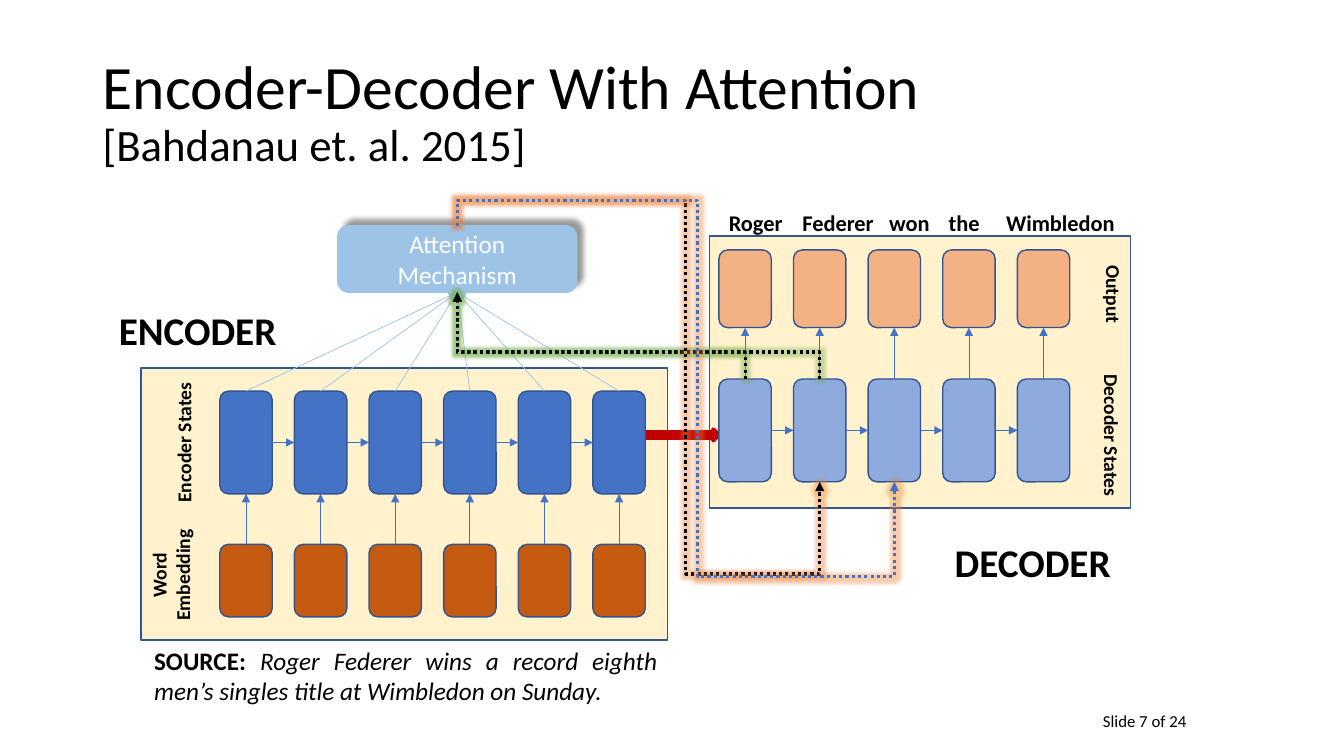
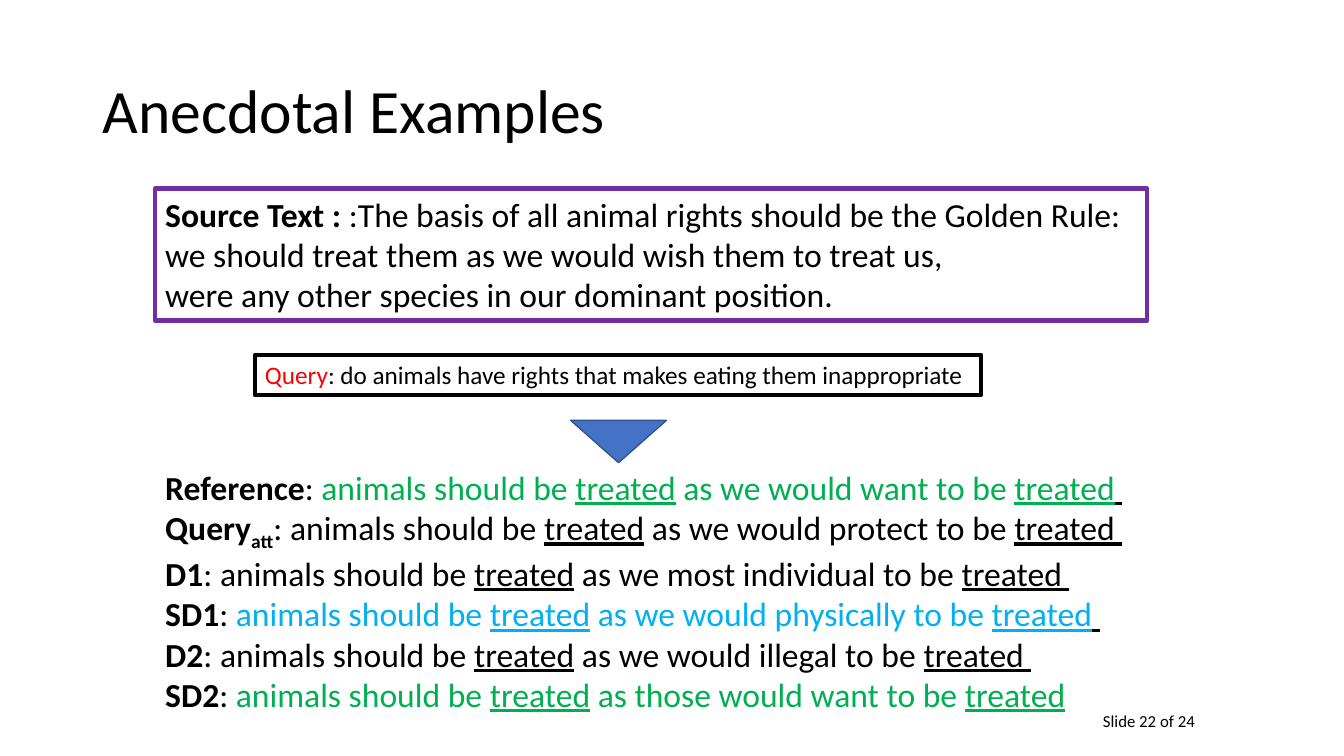
"""Build two slides: an attention encoder-decoder diagram and anecdotal examples."""
from lxml import etree
from pptx import Presentation
from pptx import util as u
from pptx.dml.color import RGBColor
from pptx.enum import dml, shapes, text
from pptx.oxml.ns import qn

rgb = RGBColor.from_string
LEFT, CENTER, JUSTIFY = text.PP_ALIGN.LEFT, text.PP_ALIGN.CENTER, text.PP_ALIGN.JUSTIFY
TOP, MIDDLE = text.MSO_ANCHOR.TOP, text.MSO_ANCHOR.MIDDLE
RECT, ROUNDED = shapes.MSO_SHAPE.RECTANGLE, shapes.MSO_SHAPE.ROUNDED_RECTANGLE
FONT = "Calibri"
BLACK, WHITE, BLUE, OUTLINE = "000000", "FFFFFF", "4472C4", "325491"
PANEL, SKY, RED = "FFF2CC", "9DC3E6", "C00000"
GREEN, CYAN, PURPLE = "00B050", "00B0F0", "7030A0"
ORANGE_GLOW, GREEN_GLOW = "ED7D31", "70AD47"
TOP_SIDE, LEFT_SIDE, BOTTOM_SIDE, RIGHT_SIDE = range(4)


def write(slide, area, content="", preset=None, fill=None, line=None, weight=1, size=18,
          color=BLACK, bold=False, align=LEFT, anchor=TOP, turn=0, spacing=None):
    place = [u.Inches(value) for value in area]
    if preset is None:
        item = slide.shapes.add_textbox(*place)
    else:
        item = slide.shapes.add_shape(preset, *place)
        if fill:
            item.fill.solid()
            item.fill.fore_color.rgb = rgb(fill)
        else:
            item.fill.background()
        item.line.color.rgb = rgb(line)
        item.line.width = u.Pt(weight)
        item.shadow.inherit = False
    item.rotation = turn
    frame = item.text_frame
    frame.word_wrap = True
    frame.vertical_anchor = anchor
    paragraphs = [content] if isinstance(content, str) else content
    for number, runs in enumerate(paragraphs):
        paragraph = frame.add_paragraph() if number else frame.paragraphs[0]
        paragraph.alignment = align
        if spacing:
            paragraph.line_spacing = spacing
        for words, changes in [(runs, {})] if isinstance(runs, str) else runs:
            run = paragraph.add_run()
            run.text = words
            font = run.font
            font.name = FONT
            font.size = u.Pt(changes.get("size", size))
            font.bold = changes.get("bold", bold)
            font.italic = changes.get("italic", False)
            font.underline = changes.get("underline", False)
            font.color.rgb = rgb(changes.get("color", color))
            if "baseline" in changes:
                font._element.set("baseline", str(changes["baseline"]))
    return item


def link(slide, start, start_side, end, end_side, color=BLUE, weight=0.5, bends=(), glow=None):
    kind = shapes.MSO_CONNECTOR.ELBOW if bends else shapes.MSO_CONNECTOR.STRAIGHT
    arrow = slide.shapes.add_connector(kind, 0, 0, 0, 0)
    arrow.begin_connect(start, start_side)
    arrow.end_connect(end, end_side)
    arrow.line.color.rgb = rgb(color)
    arrow.line.width = u.Pt(weight)
    properties = arrow._element.spPr
    if bends:
        arrow.line.dash_style = dml.MSO_LINE.ROUND_DOT
        middle_x = (arrow.begin_x + arrow.end_x) // 2
        middle_y = (arrow.begin_y + arrow.end_y) // 2
        across, down = arrow.begin_x - middle_x, arrow.begin_y - middle_y
        arrow.begin_x, arrow.begin_y = middle_x - down, middle_y + across
        arrow.end_x, arrow.end_y = middle_x + down, middle_y - across
        properties.find(qn("a:xfrm")).set("rot", str(270 * 60000))
        geometry = properties.find(qn("a:prstGeom"))
        geometry.set("prst", f"bentConnector{len(bends) + 2}")
        guides = geometry.find(qn("a:avLst"))
        for number, share in enumerate(bends, 1):
            etree.SubElement(guides, qn("a:gd"), name=f"adj{number}", fmla=f"val {share * 1000}")
    etree.SubElement(arrow.line._get_or_add_ln(), qn("a:tailEnd"), type="triangle")
    effects = etree.SubElement(properties, qn("a:effectLst"))
    if glow:
        halo = etree.SubElement(effects, qn("a:glow"), rad=str(u.Pt(5)))
        tint = etree.SubElement(halo, qn("a:srgbClr"), val=glow)
        etree.SubElement(tint, qn("a:alpha"), val="40000")


deck = Presentation()
deck.slide_width, deck.slide_height = u.Inches(13.33), u.Inches(7.5)
titles = {
    7: ["Encoder-Decoder With Attention", [("[Bahdanau et. al. 2015]", {"size": 32})]],
    22: ["Anecdotal Examples"],
}
pages = []
for number, title in titles.items():
    page = deck.slides.add_slide(deck.slide_layouts[6])
    write(page, (0.92, 0.4, 11.5, 1.45), title, size=44, anchor=MIDDLE, spacing=0.9)
    write(page, (10.84, 7, 2.49, 0.3), f"Slide {number} of 24", size=12)
    pages.append(page)
diagram, examples = pages

for panel in [(7.04, 2.34, 4.17, 2.7), (1.4, 3.65, 5.22, 2.7)]:
    write(diagram, panel, preset=RECT, fill=PANEL, line=OUTLINE)
write(diagram, (6.4, 4.26, 0.73, 0.11), preset=shapes.MSO_SHAPE.RIGHT_ARROW,
      fill=RED, line=RED, weight=3)

rows = []
for left, top, height, count, fill in [
    (2.18, 3.88, 1.02, 6, BLUE),
    (2.18, 5.4, 0.72, 6, "C55A11"),
    (7.13, 2.48, 0.77, 5, "F4B183"),
    (7.13, 3.76, 1.02, 5, "8FAADC"),
]:
    rows.append([write(diagram, (left + 0.74 * step, top, 0.52, height),
                       preset=ROUNDED, fill=fill, line=OUTLINE) for step in range(count)])
encoder_states, embeddings, outputs, decoder_states = rows

for states in (encoder_states, decoder_states):
    for state, following in zip(states, states[1:]):
        link(diagram, state, RIGHT_SIDE, following, LEFT_SIDE)
for lower, upper in [*zip(embeddings, encoder_states), *zip(decoder_states, outputs)]:
    link(diagram, lower, TOP_SIDE, upper, BOTTOM_SIDE)

attention = write(diagram, (3.35, 2.24, 2.37, 0.66), "Attention Mechanism", preset=ROUNDED,
                  fill=SKY, line=SKY, color=WHITE, align=CENTER, anchor=MIDDLE)
shadow = etree.SubElement(attention._element.spPr.find(qn("a:effectLst")), qn("a:outerShdw"),
                          blurRad=str(u.Pt(4)), dist=str(u.Pt(6)), dir=str(315 * 60000),
                          algn="bl", rotWithShape="0")
shade = etree.SubElement(shadow, qn("a:srgbClr"), val=BLACK)
etree.SubElement(shade, qn("a:alpha"), val="40000")

for state in encoder_states:
    link(diagram, state, TOP_SIDE, attention, BOTTOM_SIDE, color=SKY)
for state in decoder_states[:2]:
    link(diagram, state, TOP_SIDE, attention, BOTTOM_SIDE, BLACK, 2.25, [31], GREEN_GLOW)
for state, color, bends in [
    (decoder_states[1], BLACK, [-10, 63, 136]),
    (decoder_states[2], BLUE, [-10, 55, 137]),
]:
    link(diagram, attention, TOP_SIDE, state, BOTTOM_SIDE, color, 2.25, bends, ORANGE_GLOW)

for area, label, turn in [
    ((1.09, 4.22, 1.47, 0.34), "Encoder States", 270),
    ((0.96, 5.42, 1.47, 0.57), "Word Embedding", 270),
    ((10.29, 4.15, 1.47, 0.34), "Decoder States", 90),
    ((10.31, 2.75, 1.47, 0.34), "Output", 90),
]:
    write(diagram, area, label, size=14, bold=True, align=CENTER, turn=turn)
write(diagram, (1.08, 2.99, 2, 0.57), "ENCODER", size=28, bold=True)
write(diagram, (9.37, 5.29, 2, 0.57), "DECODER", size=28, bold=True)
write(diagram, (1.43, 6.35, 5.19, 0.71), [[
    ("SOURCE: ", {"bold": True}),
    ("Roger Federer wins a record eighth men’s singles title at Wimbledon on Sunday.",
     {"italic": True}),
]], align=JUSTIFY)
sentence = write(diagram, (7.13, 2.03, 4.88, 0.37), "Roger\tFederer\twon\tthe\tWimbledon",
                 size=16, bold=True)
tabs = etree.SubElement(sentence.text_frame.paragraphs[0]._p.get_or_add_pPr(), qn("a:tabLst"))
for stop in (0.73, 1.59, 2.18, 2.75):
    etree.SubElement(tabs, qn("a:tab"), pos=str(u.Inches(stop)), algn="l")

write(examples, (1.54, 1.87, 9.84, 1.31), [
    [("Source Text : ", {"bold": True}),
     (":The basis of all animal rights should be the Golden Rule:", {})],
    "we should treat them as we would wish them to treat us,",
    "were any other species in our dominant position.",
], preset=RECT, line=PURPLE, weight=3, size=24)
write(examples, (2.53, 3.52, 7.2, 0.4), [[
    ("Query", {"color": "FF0000"}),
    (": do animals have rights that makes eating them inappropriate", {}),
]], preset=RECT, line=BLACK, weight=3)
write(examples, (5.66, 4.17, 0.95, 0.42), preset=shapes.MSO_SHAPE.FLOWCHART_MERGE,
      fill=BLUE, line=OUTLINE)

answers = []
for system, suffix, color, middle, ending in [
    ("Reference", "", GREEN, "as we would want", " "),
    ("Query", "att", BLACK, "as we would protect", " "),
    ("D1", "", BLACK, "as we most individual", " "),
    ("SD1", "", CYAN, "as we would physically", " "),
    ("D2", "", BLACK, "as we would illegal", " "),
    ("SD2", "", GREEN, "as those would want", ""),
]:
    plain, marked = {"color": color}, {"color": color, "underline": True}
    runs = [
        (system, {"bold": True}),
        (suffix, {"bold": True, "baseline": -25000}),
        (": ", {}),
        ("animals should be ", plain),
        ("treated", marked),
        (f" {middle} to be ", plain),
        ("treated", marked),
        (ending, {"underline": True}),
    ]
    answers.append([run for run in runs if run[0]])
write(examples, (1.54, 4.58, 10.19, 2.52), answers, size=24)

deck.save("out.pptx")
